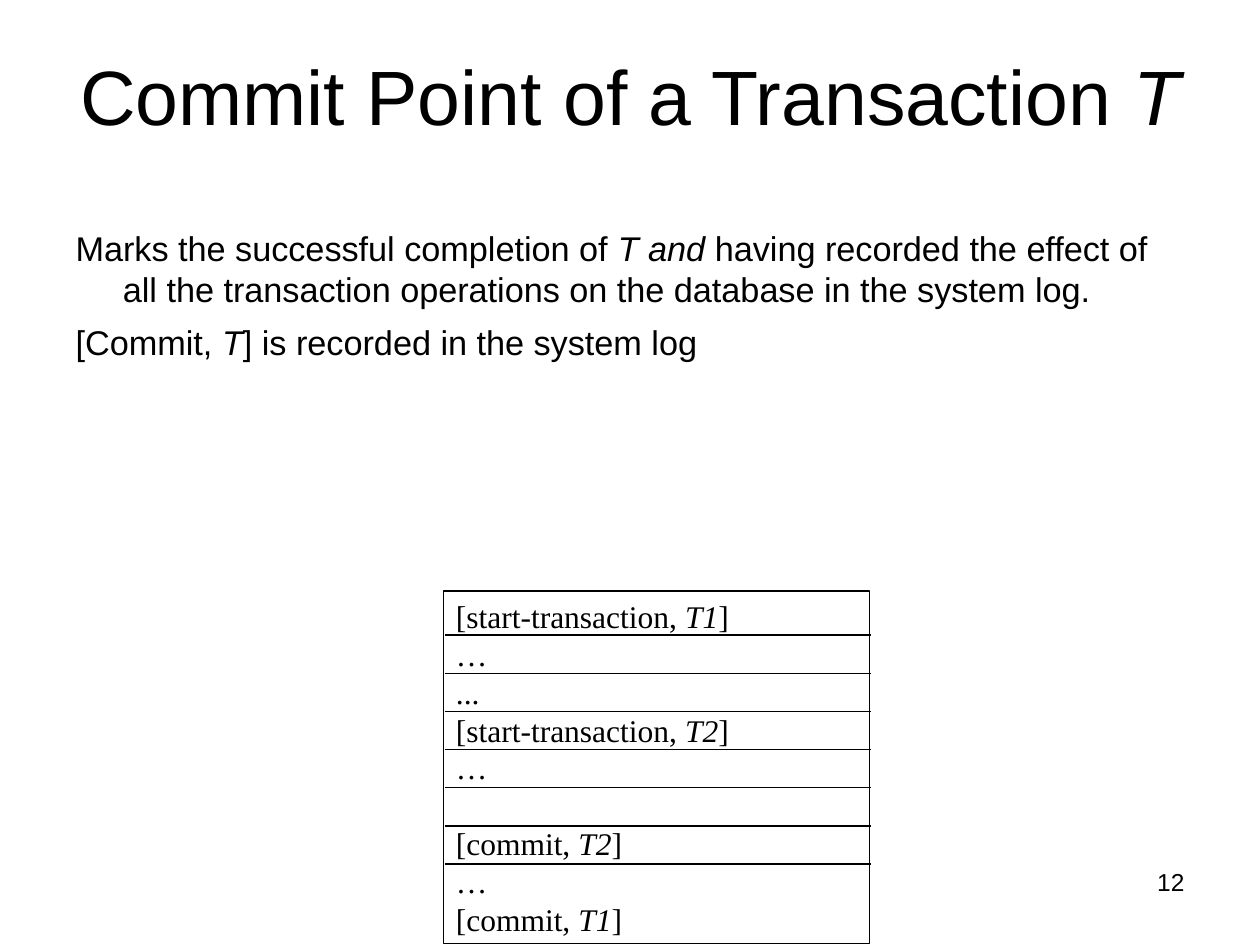
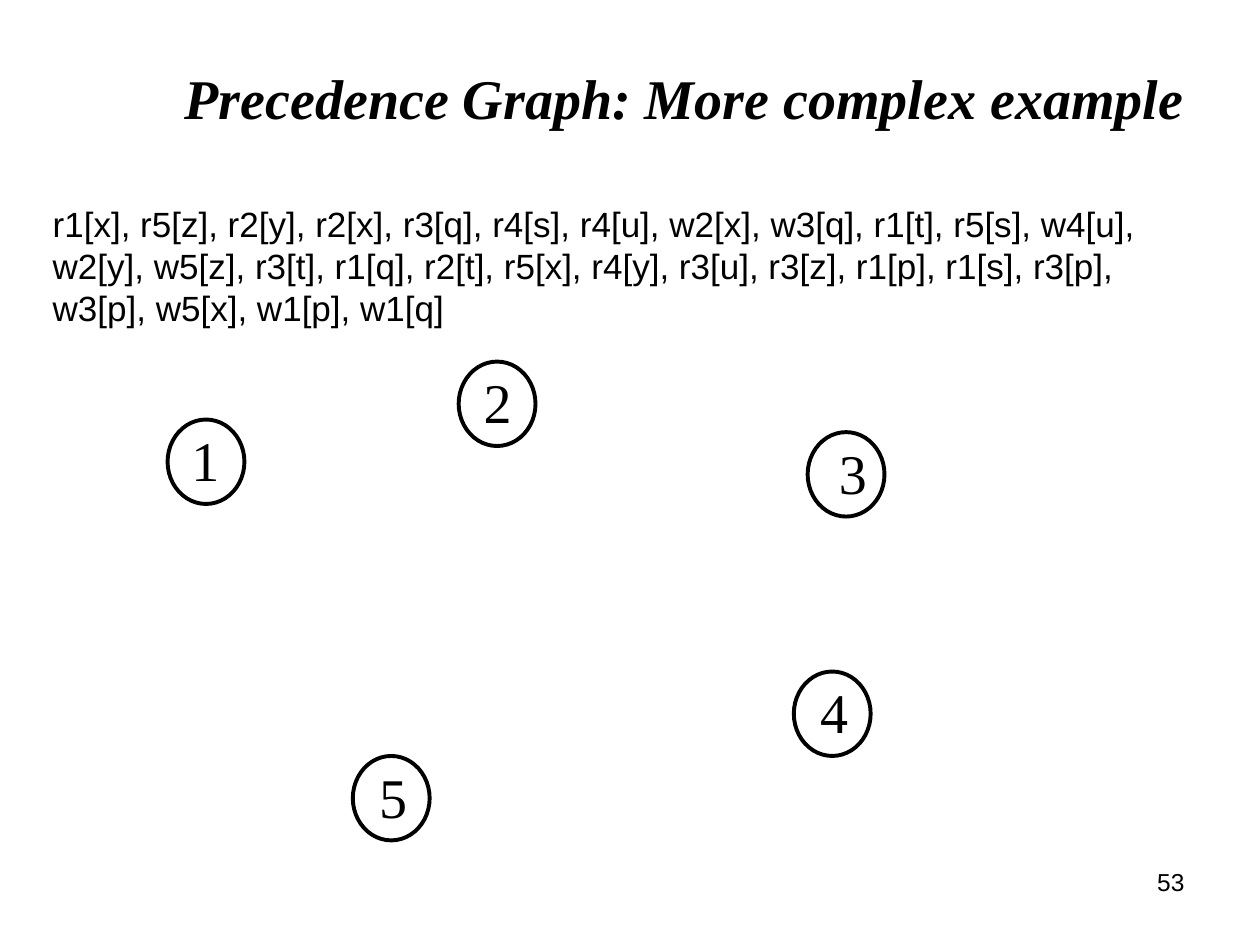
from pptx import Presentation
from pptx.dml.color import RGBColor
from pptx.enum.shapes import MSO_CONNECTOR as CONN, MSO_SHAPE as SHAPE
from pptx.enum.text import MSO_ANCHOR as ANCHOR, MSO_AUTO_SIZE as AUTO, PP_ALIGN as ALIGN
from pptx.oxml.ns import qn
from pptx.util import Inches, Pt
from lxml.etree import SubElement

COLS, ROWS = 100, 75
SANS, SERIF = "Arial", "Times New Roman"
LEADING = 1.2


def color(value):
    return RGBColor.from_string(value)


class Deck:
    ink = "000000"
    frame = dict(margin_left=Inches(0.1), margin_right=Inches(0.1),
                 margin_top=Inches(0.05), margin_bottom=Inches(0.05),
                 auto_size=AUTO.NONE)

    def __init__(self, prs):
        self.prs = prs
        self.slide = None

    def new_slide(self, layout, number):
        self.slide = self.prs.slides.add_slide(self.prs.slide_layouts.get_by_name(layout))
        self.text(71.7, 68.3, 23.3, 5.2, [number], 14, align=ALIGN.RIGHT)

    def x(self, cols):
        return round(self.prs.slide_width * cols / COLS)

    def y(self, rows):
        return round(self.prs.slide_height * rows / ROWS)

    def box(self, left, top, width, height):
        return self.x(left), self.y(top), self.x(width), self.y(height)

    def fill_text(self, sp, lines, size, font=SANS, align=ALIGN.LEFT, anchor=ANCHOR.TOP,
                  wrap=True, bold=False, italic=False, gaps=(), plain_list=False):
        tf = sp.text_frame
        for name, value in dict(self.frame, vertical_anchor=anchor, word_wrap=wrap).items():
            setattr(tf, name, value)
        spacing = dict(alignment=align, line_spacing=Pt(size * LEADING), space_after=Pt(0))
        face = dict(name=font, size=Pt(size), bold=bold)
        for i, line in enumerate(lines):
            p = tf.add_paragraph() if i else tf.paragraphs[0]
            if plain_list:
                SubElement(p._p.get_or_add_pPr(), qn("a:buNone"))
            for name, value in spacing.items():
                setattr(p, name, value)
            p.space_before = Pt(gaps[i] if gaps else 0)
            for j, part in enumerate(line.split("*")):
                if not part:
                    continue
                r = p.add_run()
                r.text = part
                for name, value in dict(face, italic=italic or j % 2 == 1).items():
                    setattr(r.font, name, value)
                r.font.color.rgb = color(self.ink)

    def placeholder(self, index, left, top, width, height, lines, size, **fmt):
        sp = self.slide.placeholders[index]
        sp.left, sp.top, sp.width, sp.height = self.box(left, top, width, height)
        self.fill_text(sp, lines, size, **fmt)

    def title(self, left, top, width, height, words, size, **fmt):
        self.placeholder(0, left, top, width, height, [words], size, anchor=ANCHOR.MIDDLE, **fmt)

    def body(self, left, top, width, height, lines, size, **fmt):
        self.placeholder(1, left, top, width, height, lines, size, plain_list=True, **fmt)

    def text(self, left, top, width, height, lines, size, **fmt):
        sp = self.slide.shapes.add_textbox(*self.box(left, top, width, height))
        self.fill_text(sp, lines, size, **fmt)

    def outline(self, kind, left, top, width, height, weight):
        sp = self.slide.shapes.add_shape(kind, *self.box(left, top, width, height))
        sp.shadow.inherit = False
        sp.fill.background()
        sp.line.color.rgb = color(self.ink)
        sp.line.width = Pt(weight)
        return sp

    def rule(self, left, right, top, weight):
        ln = self.slide.shapes.add_connector(
            CONN.STRAIGHT, self.x(left), self.y(top), self.x(right), self.y(top))
        ln.line.color.rgb = color(self.ink)
        ln.line.width = Pt(weight)
        SubElement(ln._element.spPr, qn("a:effectLst"))

    def node(self, label, left, top, inset):
        self.outline(SHAPE.OVAL, left, top, 6.1, 6.7, 2.25)
        self.text(left + inset, top, 4.2, 6.4, [label], 32, font=SERIF, wrap=False)


def commit_point(deck):
    deck.new_slide("Title and Content", "12")
    deck.title(5, 2.5, 90.1, 10, "Commit Point of a Transaction *T*", 44, align=ALIGN.CENTER)
    deck.body(5, 17.5, 90, 14.3, [
        "Marks the successful completion of *T and *having recorded the effect of "
        "all the transaction operations on the database in the system log.",
        "[Commit, *T*] is recorded in the system log",
    ], 19.6, gaps=(0, 7))
    log = ["[start-transaction, *T1*]", "…", "...", "[start-transaction, *T2*]",
           "…", "[commit, *T2*]", "…", "[commit, *T1*]"]
    empty_row = 18 * LEADING
    gaps = [empty_row if line == "[commit, *T2*]" else 0 for line in log]
    sp = deck.outline(SHAPE.RECTANGLE, 35.2, 46.9, 33.8, 28, 0.75)
    deck.fill_text(sp, log, 18, font=SERIF, gaps=gaps)
    for i in range(7):
        deck.rule(35.3, 69.1, 50.4 + 3.03 * i, 0.75)


def precedence_graph(deck):
    deck.new_slide("Title Only", "53")
    deck.text(3.2, 15.6, 93.4, 11, [
        "r1[x], r5[z], r2[y], r2[x], r3[q], r4[s], r4[u], w2[x], w3[q], r1[t], r5[s], w4[u], "
        "w2[y], w5[z], r3[t], r1[q], r2[t], r5[x], r4[y], r3[u], r3[z], r1[p], r1[s], r3[p], "
        "w3[p], w5[x], w1[p], w1[q]",
    ], 20, anchor=ANCHOR.MIDDLE)
    for label, left, top, inset in (
        ("1", 13.3, 33.3, 0.9),
        ("2", 36.4, 28.7, 1),
        ("5", 28, 60, 1.1),
        ("4", 63, 53.3, 1.1),
        ("3", 64.1, 34.3, 1.5),
    ):
        deck.node(label, left, top, inset)
    deck.title(5.2, 4.5, 89.8, 6.4, "Precedence Graph: More complex example", 32,
               font=SERIF, align=ALIGN.RIGHT, bold=True, italic=True)


def main():
    prs = Presentation()
    prs.slide_width, prs.slide_height = Inches(10), Inches(7.5)
    deck = Deck(prs)
    commit_point(deck)
    precedence_graph(deck)
    prs.save("out.pptx")


if __name__ == "__main__":
    main()
